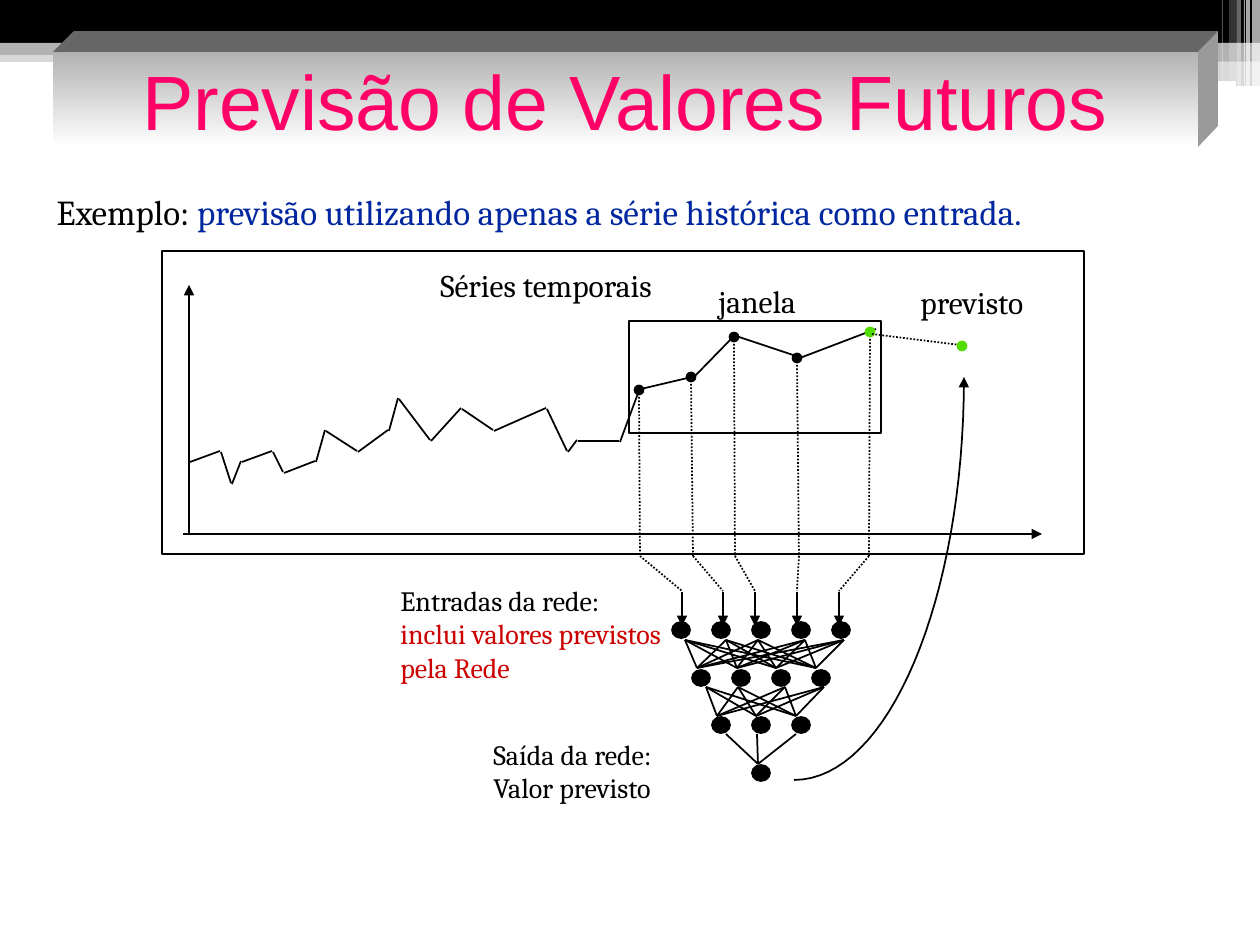
"""Build a slide on forecasting future values of a time series with a neural network."""
from dataclasses import dataclass
from itertools import pairwise, product

import pptx
import pptx.dml.color
import pptx.enum.dml
import pptx.enum.shapes
import pptx.enum.text
import pptx.oxml
import pptx.oxml.ns
import pptx.util

RGBColor = pptx.dml.color.RGBColor
BLACK = RGBColor(0x00, 0x00, 0x00)
WHITE = RGBColor(0xFF, 0xFF, 0xFF)
SILVER = RGBColor(0xB2, 0xB2, 0xB2)
TOP_GRAY = RGBColor(0x66, 0x66, 0x66)
SIDE_GRAY = RGBColor(0x9A, 0x9A, 0x9A)
PINK = RGBColor(0xFF, 0x00, 0x66)
NAVY = RGBColor(0x00, 0x27, 0x9F)
RED = RGBColor(0xCC, 0x00, 0x00)
GREEN = RGBColor(0x51, 0xDC, 0x00)

EMU_PER_PIXEL = 914400 / 126
Preset = pptx.enum.shapes.MSO_SHAPE
Point = tuple[int, int]


@dataclass(frozen=True)
class Bar:
    left: int
    top: int
    width: int
    height: int
    color: RGBColor
    opacity: int = 100
    preset: Preset = Preset.RECTANGLE


@dataclass(frozen=True)
class WindowInput:
    dot_x: int
    dot_y: int
    foot_x: int
    inlet_x: int
    color: RGBColor = BLACK


@dataclass(frozen=True)
class Weights:
    starts: tuple[int, ...]
    start_y: int
    ends: tuple[int, ...]
    end_y: int


@dataclass(frozen=True)
class Run:
    text: str
    size: int
    color: RGBColor = BLACK
    font: str = "Cambria"


@dataclass(frozen=True)
class Label:
    left: int
    top: int
    width: int
    height: int
    paragraphs: tuple[tuple[Run, ...], ...]
    wrap: bool = False
    line_spacing: float = 1.0


BARS = (
    Bar(0, 50, 1260, 12, SILVER, 50),
    Bar(0, 0, 1260, 43, BLACK),
    Bar(0, 43, 1260, 12, SILVER),
    Bar(746, 49, 514, 12, SILVER),
    Bar(746, 61, 514, 25, SILVER, 50),
    Bar(745, 68, 422, 4, WHITE, preset=Preset.ROUNDED_RECTANGLE),
    Bar(1016, 81, 220, 5, WHITE, preset=Preset.ROUNDED_RECTANGLE),
    Bar(1252, 0, 8, 86, WHITE, 65),
    Bar(1246, 0, 4, 86, WHITE, 65),
    Bar(1244, 0, 1, 86, WHITE, 60),
    Bar(1237, 0, 4, 86, WHITE, 40),
    Bar(1229, 0, 8, 81, WHITE, 20),
    Bar(1222, 0, 1, 81, WHITE, 30),
)
SERIES = (
    (189, 461), (220, 451), (231, 483), (241, 461), (272, 451), (283, 472),
    (315, 461), (325, 430), (357, 451), (388, 430), (398, 398), (430, 440),
    (461, 408), (493, 430), (546, 408), (567, 451), (577, 440), (619, 441),
    (640, 388), (692, 377), (735, 335), (799, 357), (876, 329),
)
WINDOW_INPUTS = (
    WindowInput(639, 390, 640, 682),
    WindowInput(691, 377, 693, 723),
    WindowInput(734, 337, 735, 755),
    WindowInput(797, 358, 799, 797),
    WindowInput(870, 332, 869, 839, GREEN),
)
LAYERS = ((5, 630), (4, 678), (3, 725), (1, 773))
NETWORK_CENTER, NEURON_STEP = 761, 40
WEIGHTS = (
    Weights((685, 726, 758, 805, 844), 640, (697, 737, 776, 816), 668),
    Weights((706, 738, 785, 824), 687, (717, 756, 796), 716),
    Weights((726, 757, 796), 734, (758,), 764),
)
LABELS = (
    Label(428, 260, 278, 50, ((Run("Séries temporais", 18),),)),
    Label(706, 276, 108, 50, ((Run("janela", 18),),)),
    Label(908, 277, 147, 50, ((Run("previsto", 18),),)),
    Label(481, 731, 217, 79, ((Run("Saída da rede:", 16),), (Run("Valor previsto", 16),))),
    Label(388, 577, 305, 113, ((Run("Entradas da rede:", 16),),
                               (Run("inclui valores previstos pela Rede", 16, RED),)), True),
    Label(32, 147, 1187, 95, ((Run(" ", 28, NAVY, "Times New Roman"), Run("Exemplo:", 20),
                               Run(" previsão utilizando apenas a série histórica como entrada.",
                                   20, NAVY)),), True, 1.4),
)


def emu(pixels: float) -> int:
    return round(pixels * EMU_PER_PIXEL)


def append_xml(parent, tag: str, **attributes: str) -> None:
    child = pptx.oxml.ns.qn(tag)
    parent.append(parent.makeelement(child, attributes))


def add_arrowhead(shape) -> None:
    outline = shape._element.spPr.find(pptx.oxml.ns.qn("a:ln"))
    append_xml(outline, "a:tailEnd", type="triangle")


def style_shape(shape, *, fill: RGBColor | None = None, line: RGBColor | None = None):
    shape.shadow.inherit = False
    if fill is None:
        shape.fill.background()
    else:
        shape.fill.solid()
        shape.fill.fore_color.rgb = fill
    if line is None:
        shape.line.fill.background()
    else:
        shape.line.color.rgb = line
        shape.line.width = pptx.util.Pt(1)
    return shape


def add_preset(slide, preset, left, top, width, height, **style):
    shape = slide.shapes.add_shape(preset, emu(left), emu(top), emu(width), emu(height))
    return style_shape(shape, **style)


def add_bar(slide, bar: Bar) -> None:
    shape = add_preset(slide, bar.preset, bar.left, bar.top, bar.width, bar.height, fill=bar.color)
    if bar.opacity < 100:
        color = shape._element.spPr.find(".//" + pptx.oxml.ns.qn("a:srgbClr"))
        append_xml(color, "a:alpha", val=str(bar.opacity * 1000))


def add_ellipse(slide, center_x, center_y, width, height, color=BLACK) -> None:
    add_preset(slide, Preset.OVAL, center_x - width / 2, center_y - height / 2,
               width, height, fill=color, line=color)


def add_line(slide, start: Point, end: Point, *, dotted: bool = False, arrow: bool = False) -> None:
    connector = slide.shapes.add_connector(
        pptx.enum.shapes.MSO_CONNECTOR.STRAIGHT, *map(emu, start + end))
    connector.line.color.rgb = BLACK
    connector.line.width = pptx.util.Pt(1)
    if dotted:
        connector.line.dash_style = pptx.enum.dml.MSO_LINE.ROUND_DOT
    if arrow:
        add_arrowhead(connector)
    append_xml(connector._element.spPr, "a:effectLst")


def add_outline(slide, points, *, close: bool, **style):
    first, *rest = [(emu(x), emu(y)) for x, y in points]
    builder = slide.shapes.build_freeform(*first)
    builder.add_line_segments(rest, close=close)
    return style_shape(builder.convert_to_shape(), **style)


def curve_points(corners: tuple[Point, ...], steps: int = 32) -> list[tuple[float, float]]:
    def position(axis: int, t: float) -> float:
        a, b, c, d = (corner[axis] for corner in corners)
        return a * (1 - t) ** 3 + 3 * b * t * (1 - t) ** 2 + 3 * c * t * t * (1 - t) + d * t ** 3
    return [(position(0, i / steps), position(1, i / steps)) for i in range(steps + 1)]


def add_text(paragraph, text: str, *, size: int, color: RGBColor, font: str) -> None:
    run = paragraph.add_run()
    run.text = text
    run.font.size = pptx.util.Pt(size)
    run.font.name = font
    run.font.color.rgb = color


def add_label(slide, label: Label) -> None:
    box = slide.shapes.add_textbox(*map(emu, (label.left, label.top, label.width, label.height)))
    frame = box.text_frame
    frame.word_wrap = label.wrap
    for index, runs in enumerate(label.paragraphs):
        paragraph = frame.add_paragraph() if index else frame.paragraphs[0]
        paragraph.line_spacing = label.line_spacing
        for run in runs:
            add_text(paragraph, run.text, size=run.size, color=run.color, font=run.font)


def add_title(slide) -> None:
    add_outline(slide, ((53, 52), (74, 31), (1218, 31), (1198, 52)), close=True, fill=TOP_GRAY)
    add_outline(slide, ((1198, 52), (1218, 31), (1218, 126), (1198, 147)), close=True, fill=SIDE_GRAY)
    title = slide.shapes.title
    title.left, title.top, title.width, title.height = map(emu, (53, 52, 1145, 95))
    title.fill.gradient()
    title.fill.gradient_angle = 270
    for stop, color, position in zip(title.fill.gradient_stops, (SILVER, WHITE), (0, 1)):
        stop.color.rgb = color
        stop.position = position
    title.text_frame.auto_size = pptx.enum.text.MSO_AUTO_SIZE.NONE
    title.text_frame.vertical_anchor = pptx.enum.text.MSO_ANCHOR.MIDDLE
    paragraph = title.text_frame.paragraphs[0]
    paragraph.alignment = pptx.enum.text.PP_ALIGN.CENTER
    add_text(paragraph, "Previsão de Valores Futuros", size=44, color=PINK, font="Arial")
    slide.shapes._spTree.append(title._element)


def add_time_series(slide) -> None:
    add_preset(slide, Preset.RECTANGLE, 162, 251, 922, 303, line=BLACK)
    add_preset(slide, Preset.RECTANGLE, 629, 321, 252, 112, line=BLACK)
    add_line(slide, (189, 534), (189, 285), arrow=True)
    add_line(slide, (183, 534), (1042, 534), arrow=True)
    for (x, y), end in pairwise(SERIES):
        add_line(slide, (x + 1, y + 1), end)
    for item in WINDOW_INPUTS:
        add_line(slide, (item.dot_x, item.dot_y), (item.foot_x, 556), dotted=True)
        add_line(slide, (item.foot_x, 556), (item.inlet_x, 591), dotted=True)
        add_line(slide, (item.inlet_x, 592), (item.inlet_x, 626), arrow=True)
        add_ellipse(slide, item.dot_x, item.dot_y, 9, 9, item.color)
    add_line(slide, (872, 334), (960, 345), dotted=True)
    add_ellipse(slide, 962, 346, 9, 9, GREEN)


def add_network(slide) -> None:
    for count, center_y in LAYERS:
        for index in range(count):
            center_x = NETWORK_CENTER + (index - (count - 1) / 2) * NEURON_STEP
            add_ellipse(slide, center_x, center_y, 18, 16)
    for weights in WEIGHTS:
        for start, end in product(weights.starts, weights.ends):
            add_line(slide, (start, weights.start_y), (end, weights.end_y))
    feedback = curve_points(((794, 780), (888, 780), (964, 600), (964, 377)))
    add_arrowhead(add_outline(slide, feedback, close=False, line=BLACK))


def main() -> None:
    presentation = pptx.Presentation()
    presentation.slide_width, presentation.slide_height = emu(1260), emu(945)
    slide = presentation.slides.add_slide(presentation.slide_layouts[5])
    for bar in BARS:
        add_bar(slide, bar)
    add_time_series(slide)
    add_network(slide)
    for label in LABELS:
        add_label(slide, label)
    add_title(slide)
    presentation.save("out.pptx")


main()
